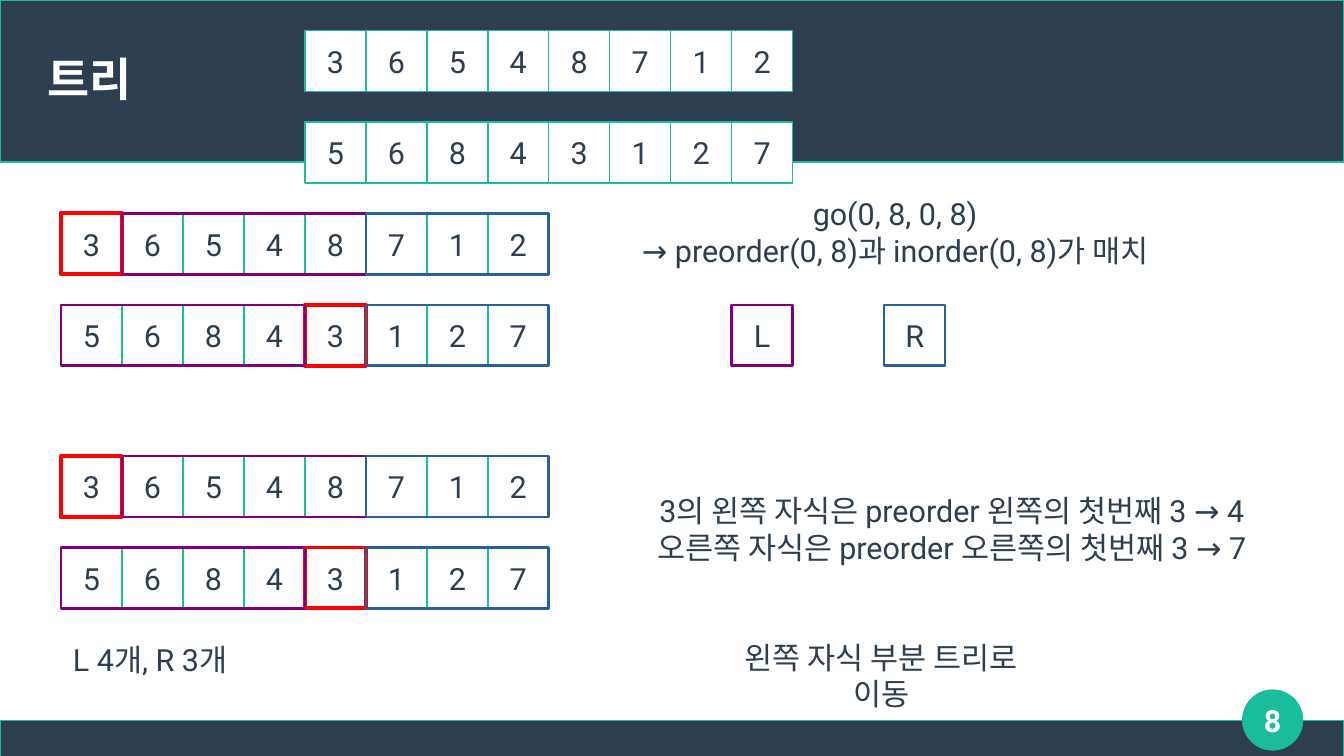
from dataclasses import dataclass

from pptx import Presentation
from pptx.dml.color import RGBColor
from pptx.enum.shapes import MSO_SHAPE as Shape
from pptx.enum.text import MSO_ANCHOR as Anchor, PP_ALIGN as Align
from pptx.util import Inches, Pt

TITLE = "트리"
PAGE = "8"
PREORDER = [3, 6, 5, 4, 8, 7, 1, 2]
INORDER = [5, 6, 8, 4, 3, 1, 2, 7]
CALL = ["go(0, 8, 0, 8)", "→ preorder(0, 8)과 inorder(0, 8)가 매치"]
CHILDREN = ["3의 왼쪽 자식은 preorder 왼쪽의 첫번째 3 → 4",
            "오른쪽 자식은 preorder 오른쪽의 첫번째 3 → 7"]
COUNTS = ["L 4개, R 3개"]
NEXT_STEP = ["왼쪽 자식 부분 트리로 이동"]


@dataclass(frozen=True)
class Theme:
    font: str = "Roboto"
    ink: str = "2C3E50"
    accent: str = "1ABC9C"
    paper: str = "FFFFFF"
    root: str = "FF0000"
    left: str = "800080"
    right: str = "2A6099"
    title_size: float = 27
    body_size: float = 18
    thin: float = 0.85
    medium: float = 1.5
    thick: float = 2.3


THEME = Theme()
WIDTH, HEIGHT = 11.02, 6.2
CELL = 0.5
ROW_STEP = 0.75

prs = Presentation()
prs.slide_width, prs.slide_height = Inches(WIDTH), Inches(HEIGHT)
slide = prs.slides.add_slide(prs.slide_layouts[6])


def write(frame, lines, align=Align.CENTER, anchor=Anchor.MIDDLE, wrap=False,
          size=THEME.body_size, color=THEME.ink, bold=False, inset=True):
    frame.word_wrap = wrap
    frame.vertical_anchor = anchor
    if not inset:
        frame.margin_left = frame.margin_right = 0
        frame.margin_top = frame.margin_bottom = 0
    for number, line in enumerate(lines):
        paragraph = frame.paragraphs[0] if number == 0 else frame.add_paragraph()
        paragraph.alignment = align
        run = paragraph.add_run()
        run.text = line
        run.font.name = THEME.font
        run.font.size = Pt(size)
        run.font.bold = bold
        run.font.color.rgb = RGBColor.from_string(color)


def add_text(at, lines, **style):
    box = slide.shapes.add_textbox(*map(Inches, at))
    write(box.text_frame, lines, **style)


def add_box(at, fill=None, line=THEME.accent, weight=THEME.thin,
            label=None, kind=Shape.RECTANGLE):
    box = slide.shapes.add_shape(kind, *map(Inches, at))
    box.shadow.inherit = False
    if fill:
        box.fill.solid()
        box.fill.fore_color.rgb = RGBColor.from_string(fill)
    else:
        box.fill.background()
    box.line.color.rgb = RGBColor.from_string(line)
    box.line.width = Pt(weight)
    if label is not None:
        write(box.text_frame, [str(label)])


def add_sequence(x, y, values):
    for index, value in enumerate(values):
        add_box((x + index * CELL, y, CELL, CELL), fill=THEME.paper, label=value)


def add_pair(x, y):
    """Preorder above inorder; returns the two rows with their tops."""
    rows = [(PREORDER, y), (INORDER, y + ROW_STEP)]
    for values, top in rows:
        add_sequence(x, top, values)
    return rows


def add_split_pair(x, y):
    """A pair of rows with the root and both subtrees outlined."""
    root = PREORDER[0]
    left_count = INORDER.index(root)
    right_start = left_count + 1
    right_count = len(INORDER) - right_start
    for values, top in add_pair(x, y):
        root_index = values.index(root)
        left_start = 1 if root_index == 0 else 0
        for start, count, color, weight in [
            (root_index, 1, THEME.root, THEME.thick),
            (left_start, left_count, THEME.left, THEME.medium),
            (right_start, right_count, THEME.right, THEME.medium),
        ]:
            add_box((x + start * CELL, top, count * CELL, CELL),
                    line=color, weight=weight)


add_box((0, 5.91, WIDTH, 0.3), fill=THEME.ink)
add_box((0, 0, WIDTH, 1.33), fill=THEME.ink)
add_box((10.19, 5.66, 0.49, 0.49), fill=THEME.accent, kind=Shape.OVAL)
add_text((0.39, 0.25, 10.24, 0.79), [TITLE], align=Align.LEFT, wrap=True,
         size=THEME.title_size, color=THEME.paper, bold=True, inset=False)
add_text((10.04, 5.66, 0.79, 0.49), [PAGE], wrap=True,
         color=THEME.paper, bold=True, inset=False)

add_pair(2.5, 0.25)
for pair_top in (1.75, 3.74):
    add_split_pair(0.5, pair_top)

for key, key_x, key_color in [("L", 6, THEME.left), ("R", 7.25, THEME.right)]:
    add_box((key_x, 2.5, CELL, CELL), line=key_color,
            weight=THEME.medium, label=key)

add_text((4.89, 1.5, 4.9, 0.8), CALL)
add_text((5.09, 3.92, 5.43, 0.83), CHILDREN)
add_text((5.75, 5.31, 2.95, 0.46), NEXT_STEP)
add_text((0.5, 5.21, 2.75, 0.53), COUNTS,
         align=Align.LEFT, anchor=Anchor.TOP, wrap=True)

prs.save("out.pptx")
